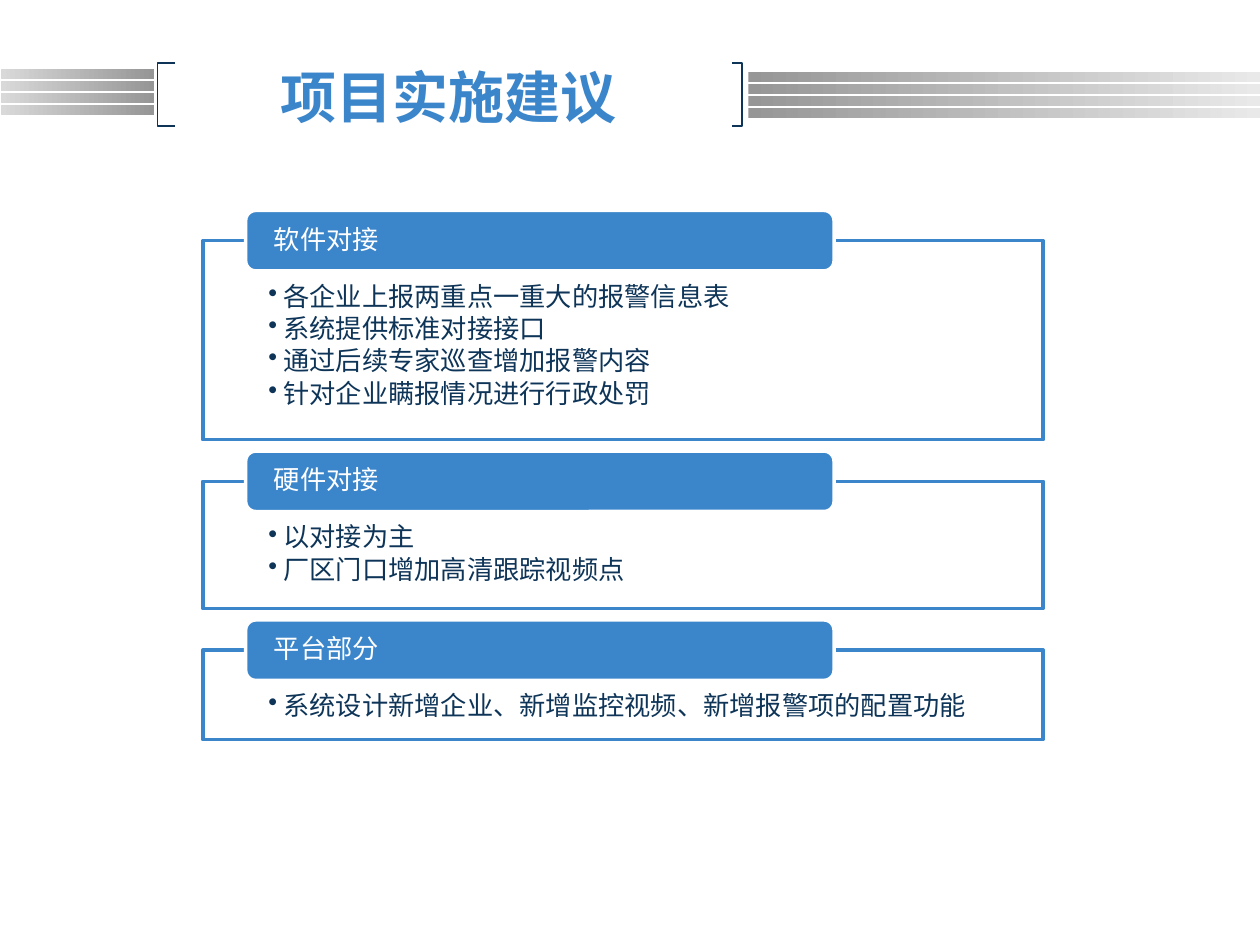
"""Build the project advice slide with three headed panels."""
from dataclasses import dataclass

from lxml import etree
from pptx import Presentation
from pptx.dml.color import RGBColor
from pptx.enum.shapes import MSO_SHAPE
from pptx.enum.text import MSO_ANCHOR, MSO_AUTO_SIZE, PP_ALIGN
from pptx.oxml.ns import qn
from pptx.util import Inches, Pt

RECT, ROUND = MSO_SHAPE.RECTANGLE, MSO_SHAPE.ROUNDED_RECTANGLE
TOP, MIDDLE = MSO_ANCHOR.TOP, MSO_ANCHOR.MIDDLE
LEFT, CENTER = PP_ALIGN.LEFT, PP_ALIGN.CENTER
FIXED = MSO_AUTO_SIZE.NONE

BLUE = RGBColor(0x3B, 0x86, 0xCB)
NAVY = RGBColor(0x0E, 0x35, 0x58)
WHITE = RGBColor(0xFF, 0xFF, 0xFF)
GRAY = RGBColor(0x96, 0x96, 0x96)
SILVER = RGBColor(0xD9, 0xD9, 0xD9)
PALE = RGBColor(0xE9, 0xE9, 0xE9)


@dataclass
class Band:
    left: float
    top: float
    width: float
    start: RGBColor
    end: RGBColor


@dataclass
class Panel:
    head: str
    items: list[str]
    height: float


BANDS = [
    Band(0.01, 0.55, 1.21, SILVER, GRAY),
    Band(5.94, 0.57, 4.06, GRAY, PALE),
]
PANELS = [
    Panel("软件对接", [
        "各企业上报两重点一重大的报警信息表",
        "系统提供标准对接接口",
        "通过后续专家巡查增加报警内容",
        "针对企业瞒报情况进行行政处罚",
    ], 1.58),
    Panel("硬件对接", ["以对接为主", "厂区门口增加高清跟踪视频点"], 1.01),
    Panel("平台部分", ["系统设计新增企业、新增监控视频、新增报警项的配置功能"], 0.71),
]


def write(shape, lines: list[str], *, size=15, color=NAVY, face="Arial", bold=False,
          align=LEFT, anchor=TOP, inset=(0.1, 0.05, 0.1, 0.05), space=1.0,
          after=0.0, bullet=False) -> None:
    frame = shape.text_frame
    frame.word_wrap = True
    frame.auto_size = FIXED
    frame.vertical_anchor = anchor
    (frame.margin_left, frame.margin_top,
     frame.margin_right, frame.margin_bottom) = map(Inches, inset)
    for i, line in enumerate(lines):
        para = frame.add_paragraph() if i else frame.paragraphs[0]
        para.alignment, para.line_spacing = align, space
        para.space_before, para.space_after = Pt(0), Pt(after)
        if bullet:
            para.level = 1
            props = para._p.get_or_add_pPr()
            props.set("marL", str(Inches(0.12)))
            props.set("indent", str(-Inches(0.12)))
            etree.SubElement(props, qn("a:buChar"), char="•")
        run = para.add_run()
        run.text = line
        font = run.font
        font.name, font.size, font.bold = face, Pt(size), bold
        font.color.rgb = color
        etree.SubElement(run._r.get_or_add_rPr(), qn("a:ea"), typeface=face)


def add_box(slide, kind, left: float, top: float, width: float, height: float):
    shape = slide.shapes.add_shape(kind, *map(Inches, (left, top, width, height)))
    shape.shadow.inherit = False
    return shape


def paint(shape, fill: RGBColor, line: RGBColor) -> None:
    shape.fill.solid()
    shape.fill.fore_color.rgb = fill
    shape.line.color.rgb = line
    shape.line.width = Pt(2)


def draw_band(slide, band: Band) -> None:
    for i in range(4):
        bar = add_box(slide, RECT, band.left, band.top + i * 0.095, band.width, 0.08)
        bar.fill.gradient()
        bar.fill.gradient_angle = 0
        for stop, color, place in zip(bar.fill.gradient_stops, (band.start, band.end), (0, 1)):
            stop.color.rgb = color
            stop.position = place
        bar.line.fill.background()


def draw_hook(slide, tip: float, spine: float) -> None:
    path = slide.shapes.build_freeform(Inches(tip), Inches(0.5))
    path.add_line_segments(
        [(Inches(x), Inches(y)) for x, y in ((spine, 0.5), (spine, 1), (tip, 1))],
        close=False)
    hook = path.convert_to_shape()
    hook.shadow.inherit = False
    hook.fill.background()
    hook.line.color.rgb = NAVY
    hook.line.width = Pt(0.75)


def draw_panel(slide, panel: Panel, top: float) -> None:
    body = add_box(slide, RECT, 1.61, top, 6.67, panel.height)
    paint(body, WHITE, BLUE)
    tint = body.fill._xPr.find(qn("a:solidFill"))[0]
    etree.SubElement(tint, qn("a:alpha"), val="90000")
    write(body, panel.items, inset=(0.52, 0.34, 0.52, 0.12), space=0.9,
          after=2.25, bullet=True)
    head = add_box(slide, ROUND, 1.95, top - 0.24, 4.67, 0.48)
    paint(head, BLUE, WHITE)
    write(head, [panel.head], color=WHITE, anchor=MIDDLE,
          inset=(0.2, 0, 0.2, 0), space=0.9)


def main() -> None:
    deck = Presentation()
    deck.slide_width, deck.slide_height = Inches(10), Inches(7.5)
    slide = deck.slides.add_slide(deck.slide_layouts[5])
    for band in BANDS:
        draw_band(slide, band)
    draw_hook(slide, 1.39, 1.25)
    draw_hook(slide, 5.81, 5.89)
    title = slide.shapes.title
    title.left, title.top, title.width, title.height = map(Inches, (1.31, 0.5, 4.5, 0.53))
    write(title, ["项目实施建议"], size=32, color=BLUE, face="Noto Sans CJK SC",
          bold=True, align=CENTER, anchor=MIDDLE)
    top = 1.91
    for panel in PANELS:
        draw_panel(slide, panel, top)
        top += panel.height + 0.33
    deck.save("out.pptx")


if __name__ == "__main__":
    main()
